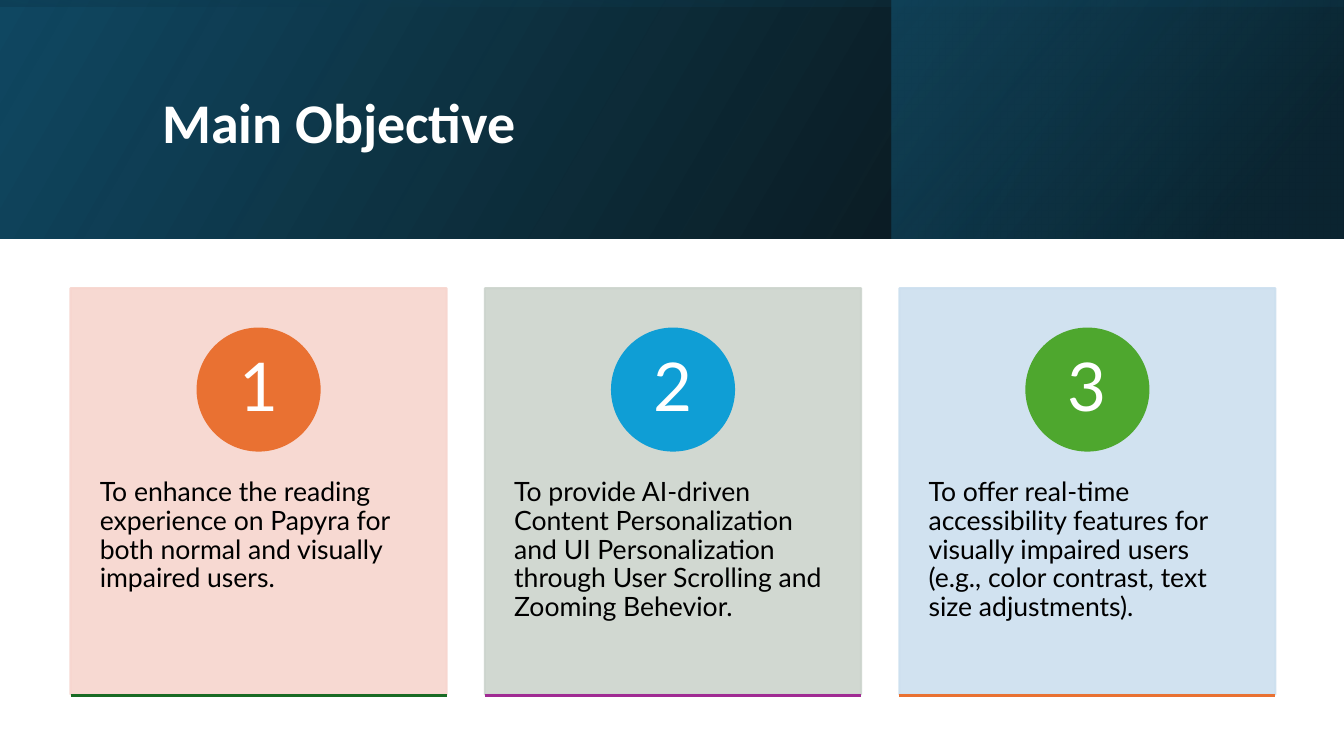
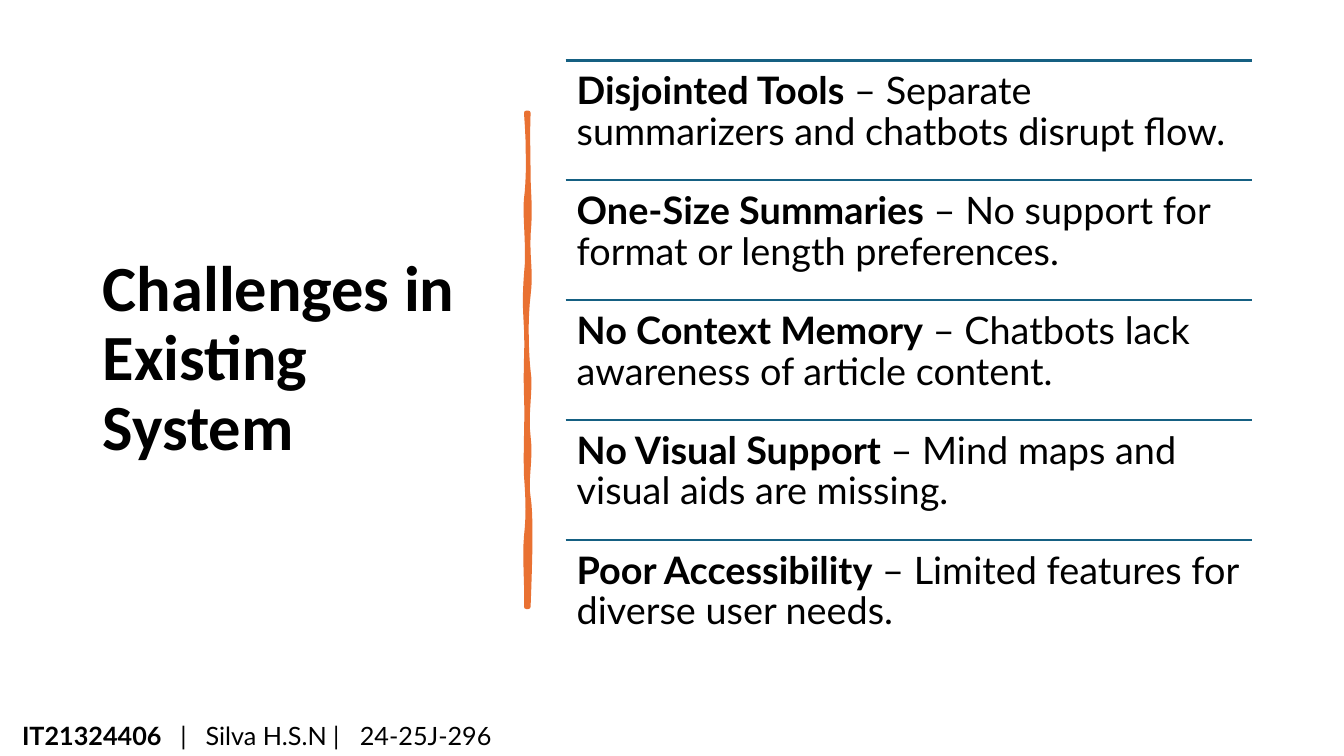
"""Build two slides: the main objective and the challenges in the existing system."""
from dataclasses import dataclass

from pptx import Presentation
from pptx.dml.color import RGBColor as Rgb
from pptx.enum.shapes import MSO_CONNECTOR as Link, MSO_SHAPE as Form
from pptx.enum.text import MSO_ANCHOR as Anchor, MSO_AUTO_SIZE as Fit, PP_ALIGN as Align
from pptx.oxml import parse_xml
from pptx.oxml.ns import nsdecls, qn
from pptx.util import Inches, Pt


@dataclass(frozen=True)
class Theme:
    """Shared colours, fonts and sizes."""
    ink: str = "000000"
    white: str = "FFFFFF"
    navy: str = "104862"
    deep: str = "0B3041"
    teal: str = "156082"
    orange: str = "E97132"
    head: str = "Calibri"
    body: str = "Lato"
    banner: int = 40
    title: int = 46
    digit: int = 48
    card: int = 19
    item: int = 27
    foot: int = 18
    rule: float = 1.5
    brush: float = 3.25


@dataclass(frozen=True)
class Band:
    """A gradient layer of the header; a stop is (place, colour, alpha)."""
    box: tuple
    stops: tuple
    angle: int
    turn: int = 0


@dataclass(frozen=True)
class Card:
    """A numbered objective."""
    text: str
    tint: str
    disc: str
    base: str


@dataclass(frozen=True)
class Item:
    """A challenge and its explanation."""
    name: str
    note: str


THEME = Theme()

BANDS = (
    Band((0, 0, 13.33, 2.37), ((0, THEME.ink, 96), (100, THEME.navy, 100)), 330),
    Band((8.84, 0, 4.48, 2.37), ((19, THEME.deep, 68), (100, THEME.teal, 48)), 320),
    Band((5.48, -5.48, 2.37, 13.33), ((23, THEME.navy, 16), (99, THEME.ink, 45)), 350, 270),
)

CARDS = (
    Card("To enhance the reading experience on Papyra for both normal and visually "
         "impaired users.", "F7D5CE", THEME.orange, "196B24"),
    Card("To provide AI-driven Content Personalization and UI Personalization through "
         "User Scrolling and Zooming Behevior.", "CCD4CD", "0F9ED5", "A02B93"),
    Card("To offer real-time accessibility features for visually impaired users "
         "(e.g., color contrast, text size adjustments).", "CCDFEF", "4EA72E", THEME.orange),
)

ITEMS = (
    Item("Disjointed Tools", "Separate summarizers and chatbots disrupt flow."),
    Item("One-Size Summaries", "No support for format or length preferences."),
    Item("No Context Memory", "Chatbots lack awareness of article content."),
    Item("No Visual Support", "Mind maps and visual aids are missing."),
    Item("Poor Accessibility", "Limited features for diverse user needs."),
)

DOWN = (
    (5.23, 1.42, 5.24, 1.49, 1.77), (5.25, 2.06, 5.26, 2.07, 2.33),
    (5.23, 2.59, 5.27, 2.69, 2.93), (5.21, 3.17, 5.22, 3.5, 3.68),
    (5.27, 3.86, 5.21, 4.1, 4.33), (5.27, 4.56, 5.21, 4.76, 4.93),
    (5.27, 5.11, 5.26, 5.51, 6.02),
)
BACK = (
    (5.23, 5.84, 5.2, 5.53, 5.32), (5.24, 5.12, 5.24, 5, 4.72),
    (5.21, 4.44, 5.23, 4.22, 3.92), (5.21, 3.63, 5.23, 3.47, 3.27),
    (5.21, 3.07, 5.2, 2.97, 2.72), (5.25, 2.47, 5.2, 2.12, 1.97),
    (5.24, 1.82, 5.25, 1.52, 1.12),
)


def write(frame, *parts: str, size: float, font: str = THEME.body, color: str = THEME.ink,
          bold: bool = False, lead: bool = False, align=Align.LEFT, anchor=Anchor.TOP,
          inset: tuple = (0.1, 0.05, 0.1, 0.05), space: float = 0.9, tabs: tuple = ()) -> None:
    """Fill a frame with one paragraph; lead makes the first part bold."""
    frame.word_wrap = True
    frame.auto_size = Fit.NONE
    frame.vertical_anchor = anchor
    (frame.margin_left, frame.margin_top,
     frame.margin_right, frame.margin_bottom) = map(Inches, inset)
    para = frame.paragraphs[0]
    if tabs:
        stops = "".join(f'<a:tab pos="{Inches(x)}" algn="l"/>' for x in tabs)
        para._p.get_or_add_pPr().append(
            parse_xml(f'<a:tabLst {nsdecls("a")}>{stops}</a:tabLst>'))
    para.alignment = align
    para.line_spacing = space
    for spot, part in enumerate(parts):
        run = para.add_run()
        run.text = part
        run.font.name, run.font.size = font, Pt(size)
        run.font.bold = bold or (lead and spot == 0)
        run.font.color.rgb = Rgb.from_string(color)


def paint(shape, color: str, width: float = THEME.rule, alpha: int = 100) -> None:
    """Give a shape one colour for its fill and line."""
    shape.shadow.inherit = False
    shape.fill.solid()
    shape.fill.fore_color.rgb = Rgb.from_string(color)
    shape.line.color.rgb = Rgb.from_string(color)
    shape.line.width = Pt(width)
    if alpha < 100:
        for tone in shape.element.spPr.iter(qn("a:srgbClr")):
            tone.append(parse_xml(f'<a:alpha {nsdecls("a")} val="{alpha * 1000}"/>'))


def rule(slide, left: float, top: float, width: float, color: str) -> None:
    """Draw a level line."""
    line = slide.shapes.add_connector(
        Link.STRAIGHT, Inches(left), Inches(top), Inches(left + width), Inches(top))
    line.line.color.rgb = Rgb.from_string(color)
    line.line.width = Pt(THEME.rule)
    line.element.spPr.append(parse_xml(f'<a:effectLst {nsdecls("a")}/>'))


def head(slide, text: str, box: tuple, size: float, color: str) -> None:
    """Place the title in front of what is drawn so far."""
    title = slide.shapes.title
    title.element.getparent().append(title.element)
    title.left, title.top, title.width, title.height = map(Inches, box)
    write(title.text_frame, text, size=size, font=THEME.head, color=color,
          bold=True, anchor=Anchor.MIDDLE)


def layer(slide, band: Band) -> None:
    """Draw one mirrored gradient layer."""
    shape = slide.shapes.add_shape(Form.RECTANGLE, *map(Inches, band.box))
    shape.shadow.inherit = False
    shape.line.fill.background()
    shape.rotation = band.turn
    stops = "".join(
        f'<a:gs pos="{place * 1000}"><a:srgbClr val="{color}">'
        f'<a:alpha val="{alpha * 1000}"/></a:srgbClr></a:gs>'
        for place, color, alpha in band.stops)
    frame = shape.element.spPr
    frame.find(qn("a:xfrm")).set("flipH", "1")
    frame.find(qn("a:prstGeom")).addnext(parse_xml(
        f'<a:gradFill {nsdecls("a")} rotWithShape="1"><a:gsLst>{stops}</a:gsLst>'
        f'<a:lin ang="{band.angle * 60000}" scaled="0"/></a:gradFill>'))


def panel(slide, spot: int, card: Card) -> None:
    """Draw one objective with its number and base line."""
    width, disc = 3.73, 1.21
    left = 0.7 + 4.11 * spot
    shape = slide.shapes.add_shape(
        Form.RECTANGLE, Inches(left), Inches(2.86), Inches(width), Inches(4.03))
    paint(shape, card.tint, alpha=90)
    write(shape.text_frame, card.text, size=THEME.card, inset=(0.29, 1.89, 0.29, 0.1))
    badge = slide.shapes.add_shape(
        Form.OVAL, Inches(left + (width - disc) / 2), Inches(3.26), Inches(disc), Inches(disc))
    paint(badge, card.disc)
    write(badge.text_frame, str(spot + 1), size=THEME.digit, color=THEME.white,
          align=Align.CENTER, anchor=Anchor.MIDDLE, inset=(0.09, 0.01, 0.09, 0.01))
    rule(slide, left, 6.9, width, card.base)


def curve(start: tuple, edge: tuple, steps: int = 8) -> list:
    """Sample the joined Bézier curves of one edge, whose ends share an x."""
    points = [start]
    for ax, ay, bx, by, end in edge:
        x, y = points[-1]
        for step in range(1, steps + 1):
            t = step / steps
            u = 1 - t
            near, mid, far, last = u ** 3, 3 * u * u * t, 3 * u * t * t, t ** 3
            points.append((near * x + mid * ax + far * bx + last * start[0],
                           near * y + mid * ay + far * by + last * end))
    return points


def stroke(slide) -> None:
    """Draw the upright brush stroke beside the title."""
    points = curve((5.24, 1.12), DOWN) + curve((5.22, 6.02), BACK)
    (x, y), *rest = [(Inches(a), Inches(b)) for a, b in points]
    pen = slide.shapes.build_freeform(x, y)
    pen.add_line_segments(rest, close=True)
    paint(pen.convert_to_shape(), THEME.orange, THEME.brush)


def aims(slide) -> None:
    """Fill the objective slide."""
    for band in BANDS:
        layer(slide, band)
    head(slide, "Main Objective", (1.51, 0.38, 10.63, 1.72), THEME.banner, THEME.white)
    for spot, card in enumerate(CARDS):
        panel(slide, spot, card)


def issues(slide) -> None:
    """Fill the challenges slide."""
    head(slide, "Challenges in Existing System", (0.92, 0.6, 3.94, 5.94),
         THEME.title, THEME.ink)
    stroke(slide)
    left, width, pitch = 5.61, 6.81, 1.19
    for spot, item in enumerate(ITEMS):
        top = 0.6 + pitch * spot
        rule(slide, left, top, width, THEME.teal)
        box = slide.shapes.add_textbox(*map(Inches, (left, top, width, pitch)))
        write(box.text_frame, item.name, f" – {item.note}", size=THEME.item, lead=True,
              inset=(0.11,) * 4)
    foot = slide.shapes.add_textbox(*map(Inches, (0.12, 7.1, 7.45, 0.4)))
    write(foot.text_frame, "IT21324406", "\t|\tSilva H.S.N |\t24-25J-296", size=THEME.foot,
          lead=True, anchor=Anchor.MIDDLE, space=1.0, tabs=(1.57, 1.82, 3.35))


def main() -> None:
    """Build and save the deck."""
    deck = Presentation()
    deck.slide_width, deck.slide_height = Inches(13.33), Inches(7.5)
    for fill in (aims, issues):
        fill(deck.slides.add_slide(deck.slide_layouts[5]))
    deck.save("out.pptx")


if __name__ == "__main__":
    main()
